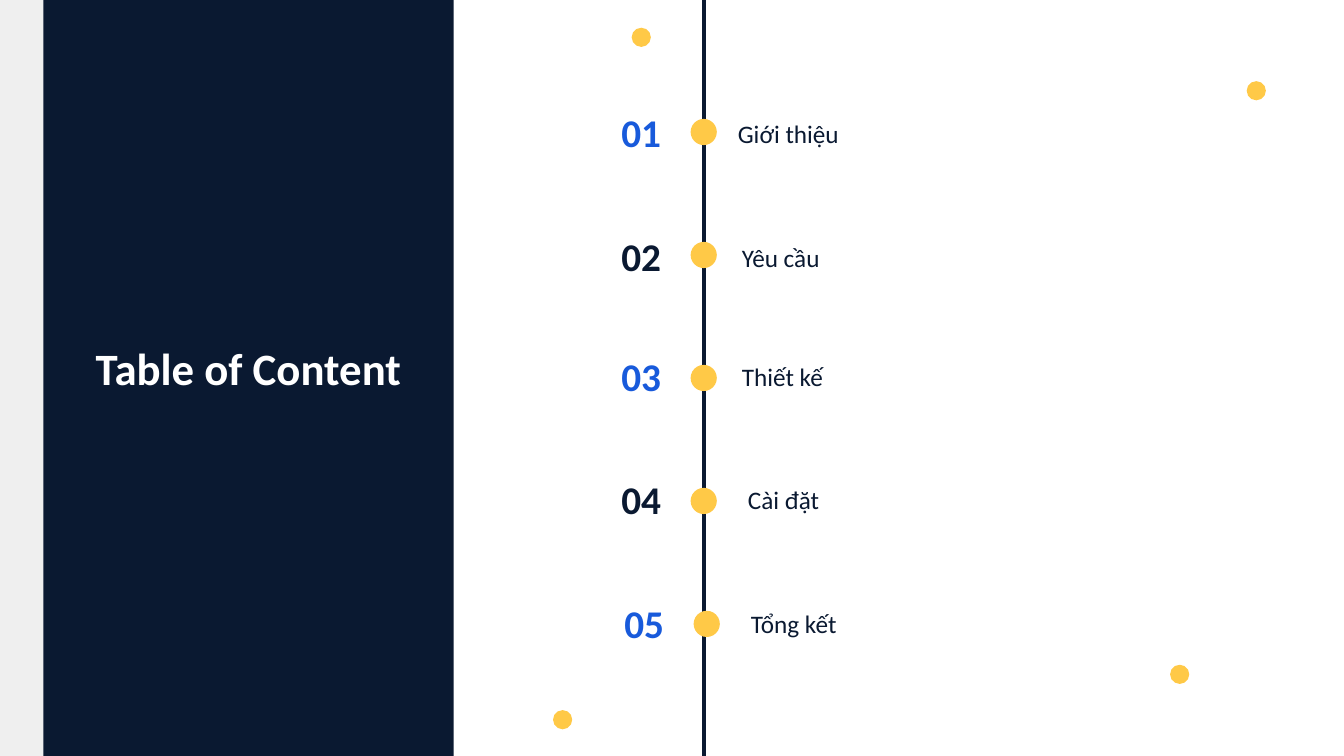
import pptx
import pptx.util
import pptx.dml.color
import pptx.enum.shapes
import pptx.enum.text
from lxml import etree
from pptx.util import Inches

NAVY, BLUE, YELLOW, GREY, WHITE = "0A1931", "185ADB", "FFC947", "EFEFEF", "FFFFFF"
SHAPE = pptx.enum.shapes.MSO_SHAPE
ALIGN = pptx.enum.text.PP_ALIGN


def rgb(color):
    """Turn a hex string into a colour."""
    return pptx.dml.color.RGBColor.from_string(color)


class Deck:
    """Holds the text style and the current slide."""

    font = "Calibri"

    def __init__(self, prs):
        """Add a blank slide to the presentation."""
        self.s = prs.slides.add_slide(prs.slide_layouts[6])

    def shape(self, kind, x, y, w, h, color):
        """Add a filled shape without outline."""
        sp = self.s.shapes.add_shape(kind, Inches(x), Inches(y), Inches(w), Inches(h))
        sp.shadow.inherit = False
        sp.fill.solid()
        sp.fill.fore_color.rgb = rgb(color)
        sp.line.fill.background()

    def dot(self, cx, cy, size):
        """Add a yellow dot by its centre."""
        self.shape(SHAPE.OVAL, cx - size / 2, cy - size / 2, size, size, YELLOW)

    def line(self, x1, y1, x2, y2, color, width):
        """Add a straight line."""
        sp = self.s.shapes.add_connector(
            pptx.enum.shapes.MSO_CONNECTOR.STRAIGHT,
            Inches(x1), Inches(y1), Inches(x2), Inches(y2))
        sp.line.color.rgb = rgb(color)
        sp.line.width = pptx.util.Pt(width)
        etree.SubElement(sp._element.spPr, pptx.oxml.ns.qn("a:effectLst"))

    def text(self, words, x, y, w, h, size, color, bold=False, align=ALIGN.LEFT, wrap=True):
        """Add a one-line text box."""
        sp = self.s.shapes.add_textbox(Inches(x), Inches(y), Inches(w), Inches(h))
        tf = sp.text_frame
        tf.word_wrap = wrap
        tf.auto_size = pptx.enum.text.MSO_AUTO_SIZE.SHAPE_TO_FIT_TEXT
        p = tf.paragraphs[0]
        p.alignment = align
        r = p.add_run()
        r.text = words
        r.font.name = self.font
        r.font.size = pptx.util.Pt(size)
        r.font.bold = bold
        r.font.color.rgb = rgb(color)


def main():
    """Build the contents slide."""
    prs = pptx.Presentation()
    prs.slide_width, prs.slide_height = Inches(13.33), Inches(7.5)
    deck = Deck(prs)

    deck.line(6.98, 0, 6.98, 7.5, NAVY, 3)
    deck.shape(SHAPE.RECTANGLE, 0, 0, 4.5, 7.5, NAVY)
    deck.shape(SHAPE.RECTANGLE, 0, 0, 0.43, 7.5, GREY)
    for cx, cy in [(5.58, 7.14), (11.7, 6.69), (12.46, 0.9), (6.36, 0.37)]:
        deck.dot(cx, cy, 0.19)
    deck.text("Table of Content", 0.52, 3.33, 3.89, 0.64, 32, WHITE, True, ALIGN.CENTER, False)

    topics = [
        ("Giới thiệu", 6.98, 1.03, 7.22),
        ("Yêu cầu", 6.98, 2.26, 7.26),
        ("Thiết kế", 6.98, 3.45, 7.26),
        ("Cài đặt", 6.98, 4.67, 7.32),
        ("Tổng kết", 7.01, 5.9, 7.35),
    ]
    for i, (topic, cx, top, left) in enumerate(topics):
        deck.dot(cx, 1.31 + 1.22 * i, 0.26)
        deck.text(f"{i + 1:02}", cx - 0.97, top, 0.7, 0.57, 28,
                  NAVY if i % 2 else BLUE, True, ALIGN.CENTER)
        deck.text(topic, left, top + 0.09, 3.47, 0.4, 18, NAVY)

    prs.save("out.pptx")


if __name__ == "__main__":
    main()
